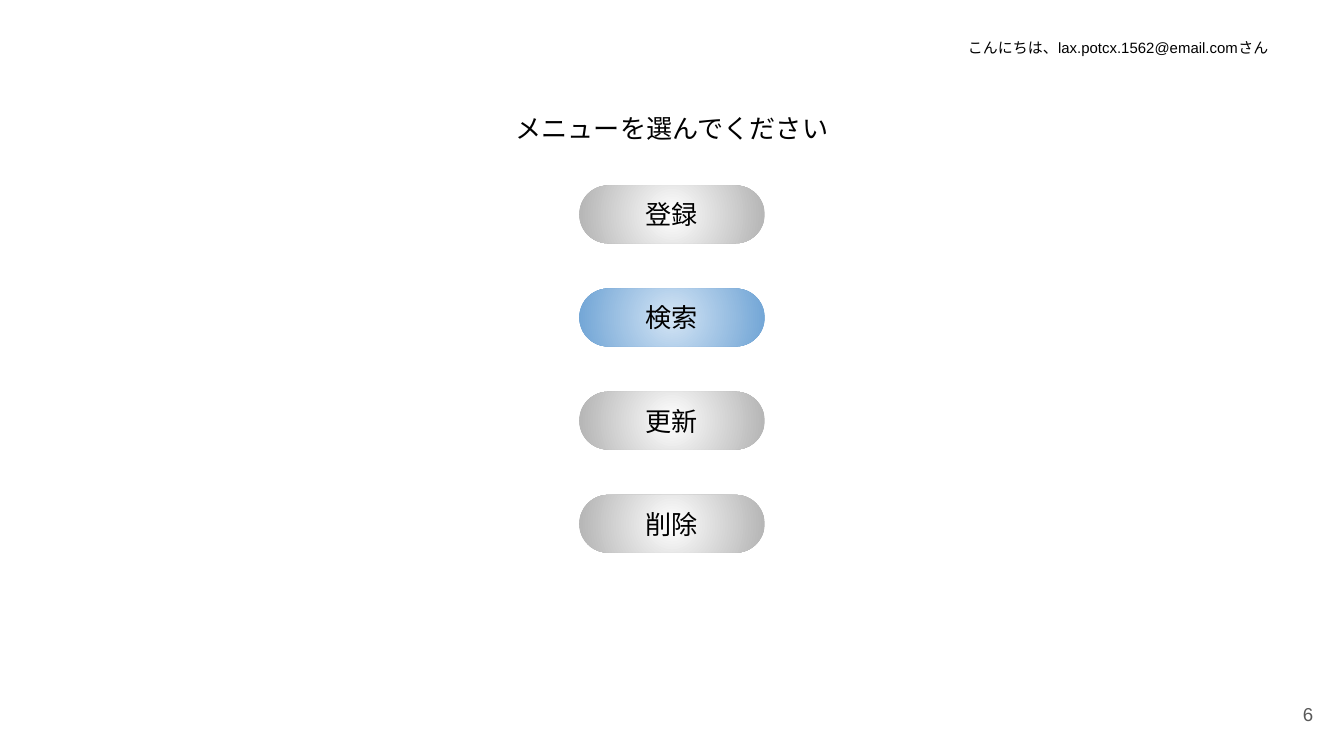
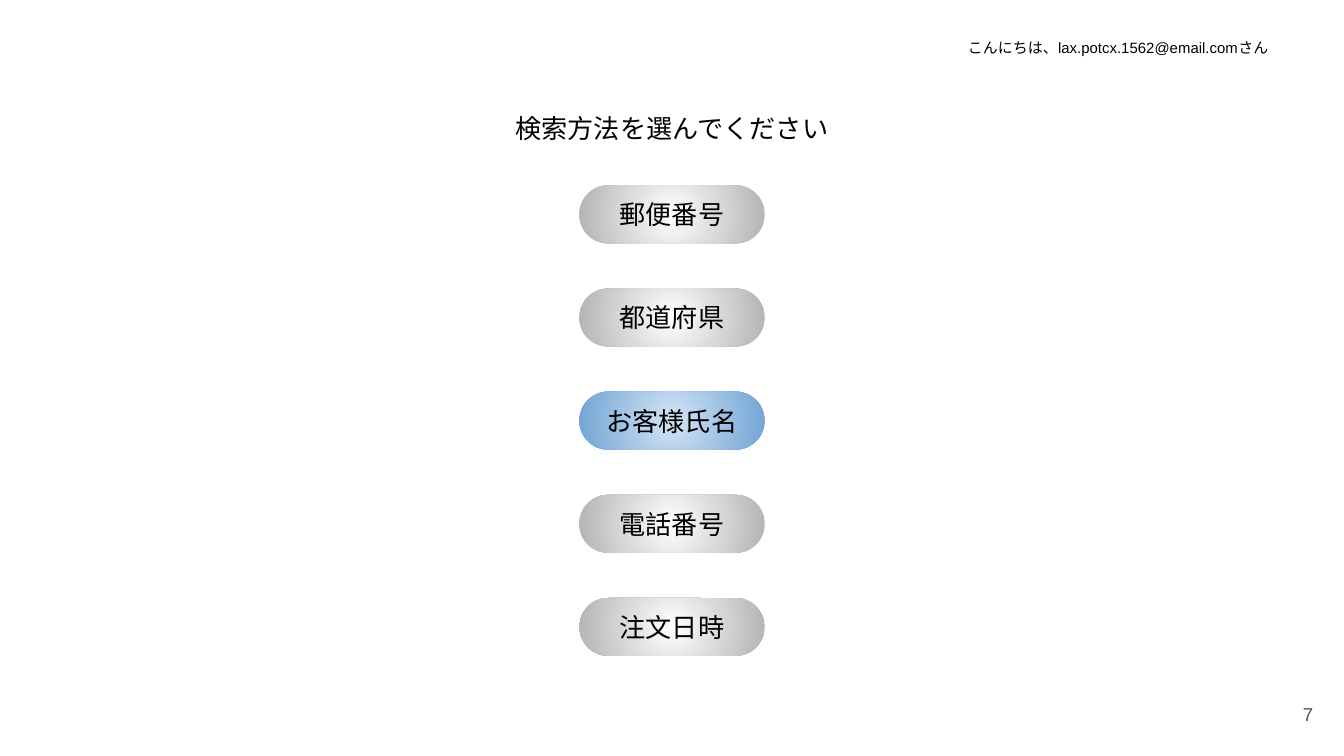
from dataclasses import dataclass

from lxml import etree
from pptx import Presentation
from pptx.dml.color import RGBColor
from pptx.enum.shapes import MSO_SHAPE
from pptx.enum.text import MSO_ANCHOR, PP_ALIGN
from pptx.oxml.ns import qn
from pptx.util import Inches, Pt

PILL = MSO_SHAPE.ROUNDED_RECTANGLE
TOP, MIDDLE = MSO_ANCHOR.TOP, MSO_ANCHOR.MIDDLE
CENTER, RIGHT = PP_ALIGN.CENTER, PP_ALIGN.RIGHT


@dataclass(frozen=True)
class Theme:
    """Colours, type sizes and measures shared by the slides."""
    font: str = "Arial"
    ink: str = "000000"
    muted: str = "595959"
    plain: tuple = ("FFFFFF", "B3B3B3")
    chosen: tuple = ("D4E5F5", "70A4D5")
    body: int = 14
    small: int = 8
    folio: int = 10
    inset: float = 0.1
    width: float = 10
    height: float = 5.625


@dataclass(frozen=True)
class Box:
    """A rectangle in inches."""
    left: float
    top: float
    width: float
    height: float

    def row(self, index, pitch, height):
        """Return one row of a stack whose rows start a pitch apart."""
        return Box(self.left, self.top + index * pitch, self.width, height)

    def emu(self):
        """Return the four lengths for python-pptx."""
        return [Inches(n) for n in (self.left, self.top, self.width, self.height)]


THEME = Theme()
GREETING = "こんにちは、lax.potcx.1562@email.com さん".replace(" ", "")
HELLO = Box(6.94, 0.22, 2.76, 0.34)
TITLE = Box(2.69, 0.74, 4.62, 0.44)
MENU = Box(4.31, 1.38, 1.38, 3.5)
FOLIO = Box(9.27, 5.1, 0.6, 0.43)
SLOTS = 5
FILL = 0.123  # button height as a share of the menu height

PAGES = [
    (6, "メニューを選んでください", ["登録", "検索", "更新", "削除"], "検索"),
    (7, "検索方法を選んでください",
     ["郵便番号", "都道府県", "お客様氏名", "電話番号", "注文日時"], "お客様氏名"),
]


def write(shape, text, size, color=THEME.ink, align=CENTER, anchor=TOP):
    """Set and format the text of a shape."""
    frame = shape.text_frame
    frame.text = text
    frame.word_wrap = True
    frame.vertical_anchor = anchor
    frame.margin_left = frame.margin_right = Inches(THEME.inset)
    frame.margin_top = frame.margin_bottom = Inches(THEME.inset)
    line = frame.paragraphs[0]
    line.alignment = align
    for run in line.runs:
        run.font.name = THEME.font
        run.font.size = Pt(size)
        run.font.color.rgb = RGBColor.from_string(color)


def label(slide, box, text, size, **style):
    """Place a text box."""
    write(slide.shapes.add_textbox(*box.emu()), text, size, **style)


def glow(shape, colors):
    """Fill a shape with a circular gradient from its centre outwards."""
    shape.fill.gradient()
    for stop, color in zip(shape.fill.gradient_stops, colors):
        stop.color.rgb = RGBColor.from_string(color)
    grad = shape.fill._xPr.find(qn("a:gradFill"))
    grad.remove(grad.find(qn("a:lin")))
    shade = etree.SubElement(grad, qn("a:path"), {"path": "circle"})
    etree.SubElement(shade, qn("a:fillToRect"), dict.fromkeys("ltrb", "50000"))


def button(slide, box, text, colors):
    """Place one pill-shaped button."""
    pill = slide.shapes.add_shape(PILL, *box.emu())
    pill.adjustments[0] = 0.5
    pill.shadow.inherit = False
    pill.line.fill.background()
    glow(pill, colors)
    write(pill, text, THEME.body, anchor=MIDDLE)


def menu(slide, box, items, active):
    """Stack the buttons in equal slots, the active one highlighted."""
    tall = box.height * FILL
    pitch = (box.height - tall) / (SLOTS - 1)
    for index, item in enumerate(items):
        colors = THEME.chosen if item == active else THEME.plain
        button(slide, box.row(index, pitch, tall), item, colors)


def page(deck, number, title, items, active):
    """Add a menu slide with greeting, title, buttons and page number."""
    slide = deck.slides.add_slide(deck.slide_layouts[6])
    label(slide, FOLIO, str(number), THEME.folio,
          color=THEME.muted, align=RIGHT, anchor=MIDDLE)
    label(slide, TITLE, title, THEME.body)
    menu(slide, MENU, items, active)
    label(slide, HELLO, GREETING, THEME.small)


def main():
    """Build and save the deck."""
    deck = Presentation()
    deck.slide_width = Inches(THEME.width)
    deck.slide_height = Inches(THEME.height)
    for entry in PAGES:
        page(deck, *entry)
    deck.save("out.pptx")


main()
